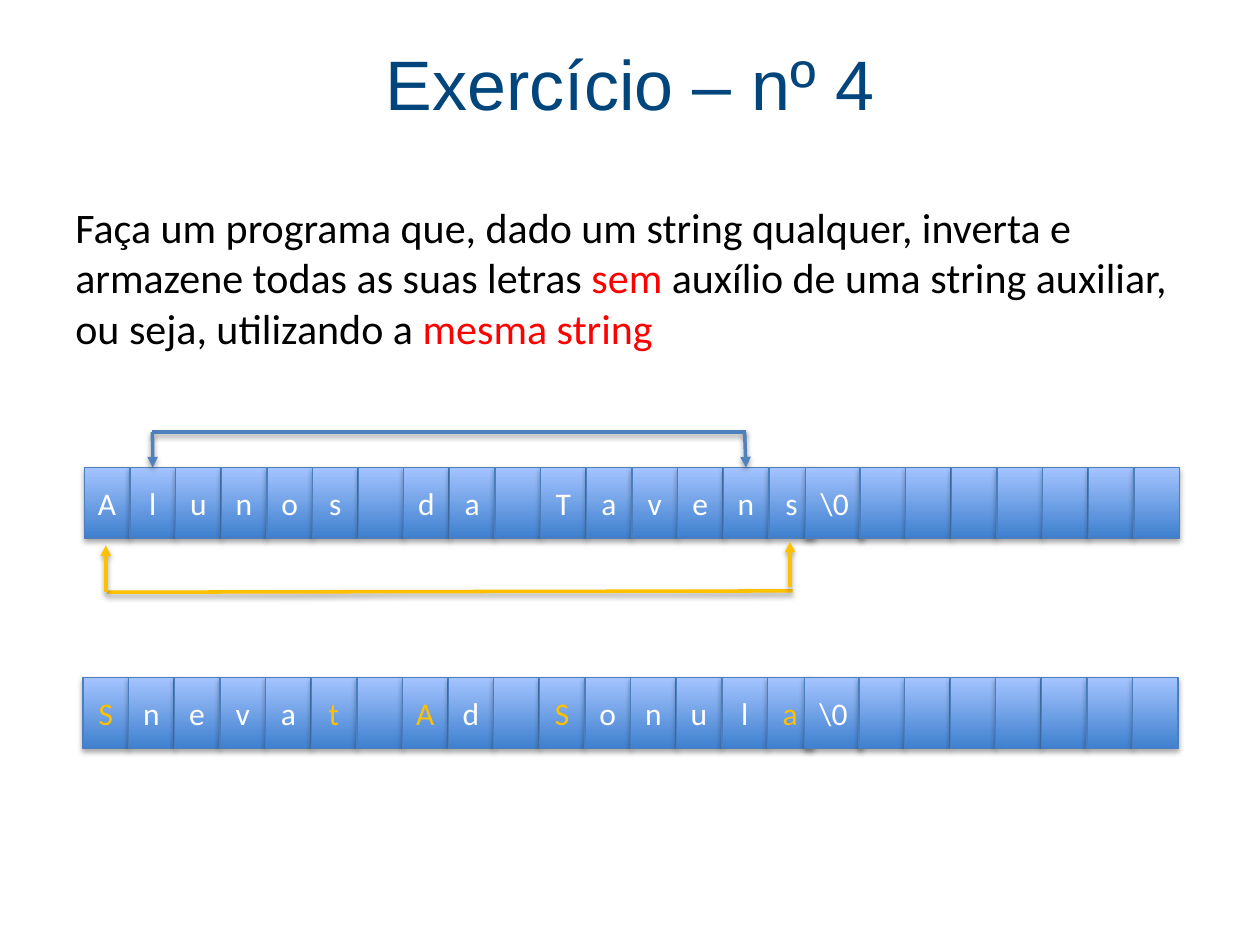
from dataclasses import dataclass
from typing import Optional

from lxml.etree import SubElement
from pptx import Presentation
from pptx.dml.color import RGBColor
from pptx.enum.shapes import MSO_CONNECTOR, MSO_SHAPE
from pptx.enum.text import MSO_ANCHOR as Anchor, PP_ALIGN as Align
from pptx.oxml.ns import qn
from pptx.util import Inches, Pt

NAVY = RGBColor(0x00, 0x45, 0x7C)
BLACK = RGBColor(0x00, 0x00, 0x00)
RED = RGBColor(0xFF, 0x00, 0x00)
WHITE = RGBColor(0xFF, 0xFF, 0xFF)
GOLD = RGBColor(0xFF, 0xC0, 0x00)
BLUE = RGBColor(0x4F, 0x81, 0xBD)
CELL_DARK = RGBColor(0x3F, 0x80, 0xCE)
CELL_LIGHT = RGBColor(0xA4, 0xC4, 0xFF)
CELL_EDGE = RGBColor(0x4B, 0x7E, 0xBC)

CELL_COUNT = 24
CELL_WIDTH, CELL_HEIGHT = 0.36, 0.56
PITCH = 8.33 / (CELL_COUNT - 1)
END_WIDTH, END_SHIFT = 0.46, -0.07  # the wider "\0" cell overlaps its neighbour


@dataclass(frozen=True)
class CharArray:
    letters: str
    left: float
    top: float
    gold: tuple = ()


@dataclass(frozen=True)
class Stroke:
    start: tuple
    end: tuple
    color: RGBColor
    arrow: bool = False
    target: Optional[int] = None  # index of the cell it points to


INITIAL = CharArray("Alunos da Tavens", 0.67, 3.71)
REVERSED = CharArray("Snevat Ad Sonula", 0.66, 5.38, gold=(0, 5, 7, 10, 15))

STROKES = [
    Stroke((0.85, 4.7), (6.29, 4.69), GOLD),
    Stroke((6.27, 4.66), (6.27, 4.3), GOLD, arrow=True),
    Stroke((0.84, 4.7), (0.84, 4.33), GOLD, arrow=True),
    Stroke((1.21, 3.43), (5.92, 3.43), BLUE),
    Stroke((5.91, 3.43), (5.92, 3.71), BLUE, arrow=True, target=14),
    Stroke((1.21, 3.43), (1.22, 3.71), BLUE, arrow=True, target=1),
]


def write_text(frame, runs, *, size: float, font: str = "Calibri",
               align=Align.LEFT, anchor=Anchor.TOP, inset: float = 0.1) -> None:
    """Fill a text frame with one paragraph of (text, colour) runs."""
    frame.word_wrap = True
    frame.vertical_anchor = anchor
    frame.margin_left = frame.margin_right = Inches(inset)
    paragraph = frame.paragraphs[0]
    paragraph.alignment = align
    for text, color in runs:
        run = paragraph.add_run()
        run.text = text
        run.font.name = font
        run.font.size = Pt(size)
        run.font.color.rgb = color


def add_shadow(effects, distance: int, opacity: int) -> None:
    """Put a soft downward shadow in an effect list."""
    shadow = SubElement(effects, qn("a:outerShdw"), blurRad="40000", dist=str(distance),
                        dir="5400000", rotWithShape="0")
    black = SubElement(shadow, qn("a:srgbClr"), val="000000")
    SubElement(black, qn("a:alpha"), val=str(opacity * 1000))


def draw_cell(shapes, left: float, top: float, width: float, letter: str, color: RGBColor):
    cell = shapes.add_shape(MSO_SHAPE.RECTANGLE, Inches(left), Inches(top),
                            Inches(width), Inches(CELL_HEIGHT))
    cell.fill.gradient()
    cell.fill.gradient_angle = 90
    for stop, shade, position in zip(cell.fill.gradient_stops, (CELL_DARK, CELL_LIGHT), (0, 1)):
        stop.color.rgb = shade
        stop.position = position
    cell.line.color.rgb = CELL_EDGE
    cell.line.width = Pt(0.75)
    cell.shadow.inherit = False
    add_shadow(cell._element.spPr.find(qn("a:effectLst")), 23000, 35)
    if letter.strip():
        write_text(cell.text_frame, [(letter, color)], size=18,
                   align=Align.CENTER, anchor=Anchor.MIDDLE, inset=0)
    return cell


def draw_array(slide, array: CharArray) -> list:
    """Draw the letters, the terminator and the unused cells as one group."""
    group = slide.shapes.add_group_shape()
    end = len(array.letters)
    contents = list(array.letters) + ["\\0"] + [""] * (CELL_COUNT - end - 1)
    cells = []
    for index, letter in enumerate(contents):
        left = array.left + index * PITCH + (END_SHIFT if index == end else 0)
        width = END_WIDTH if index == end else CELL_WIDTH
        color = GOLD if index in array.gold else WHITE
        cells.append(draw_cell(group.shapes, left, array.top, width, letter, color))
    return cells


def draw_stroke(slide, stroke: Stroke, cells: list) -> None:
    line = slide.shapes.add_connector(MSO_CONNECTOR.STRAIGHT,
                                      *map(Inches, stroke.start + stroke.end))
    if stroke.target is not None:
        line.end_connect(cells[stroke.target], 0)
    line.line.color.rgb = stroke.color
    line.line.width = Pt(2)
    properties = line._element.spPr
    if stroke.arrow:
        SubElement(properties.find(qn("a:ln")), qn("a:tailEnd"), type="triangle")
    add_shadow(SubElement(properties, qn("a:effectLst")), 20000, 38)


def main() -> None:
    deck = Presentation()
    deck.slide_width, deck.slide_height = Inches(10), Inches(7.5)
    slide = deck.slides.add_slide(deck.slide_layouts[5])

    # Title
    title = slide.shapes.title
    title.left, title.top, title.width, title.height = map(Inches, (0.5, 0.3, 9, 0.71))
    write_text(title.text_frame, [("Exercício – nº 4", NAVY)], size=40, font="Arial",
               align=Align.CENTER, anchor=Anchor.MIDDLE)

    # Exercise statement
    statement = slide.shapes.add_textbox(*map(Inches, (0.5, 1.55, 9, 4.95)))
    write_text(statement.text_frame, [
        ("Faça um programa que, dado um string qualquer, inverta e "
         "armazene todas as suas letras ", BLACK),
        ("sem", RED),
        (" auxílio de uma string auxiliar, ou seja, utilizando a ", BLACK),
        ("mesma string", RED),
    ], size=24)

    # Character arrays before and after, and the swaps between letters
    initial_cells = draw_array(slide, INITIAL)
    draw_array(slide, REVERSED)
    for stroke in STROKES:
        draw_stroke(slide, stroke, initial_cells)

    deck.save("out.pptx")


if __name__ == "__main__":
    main()
